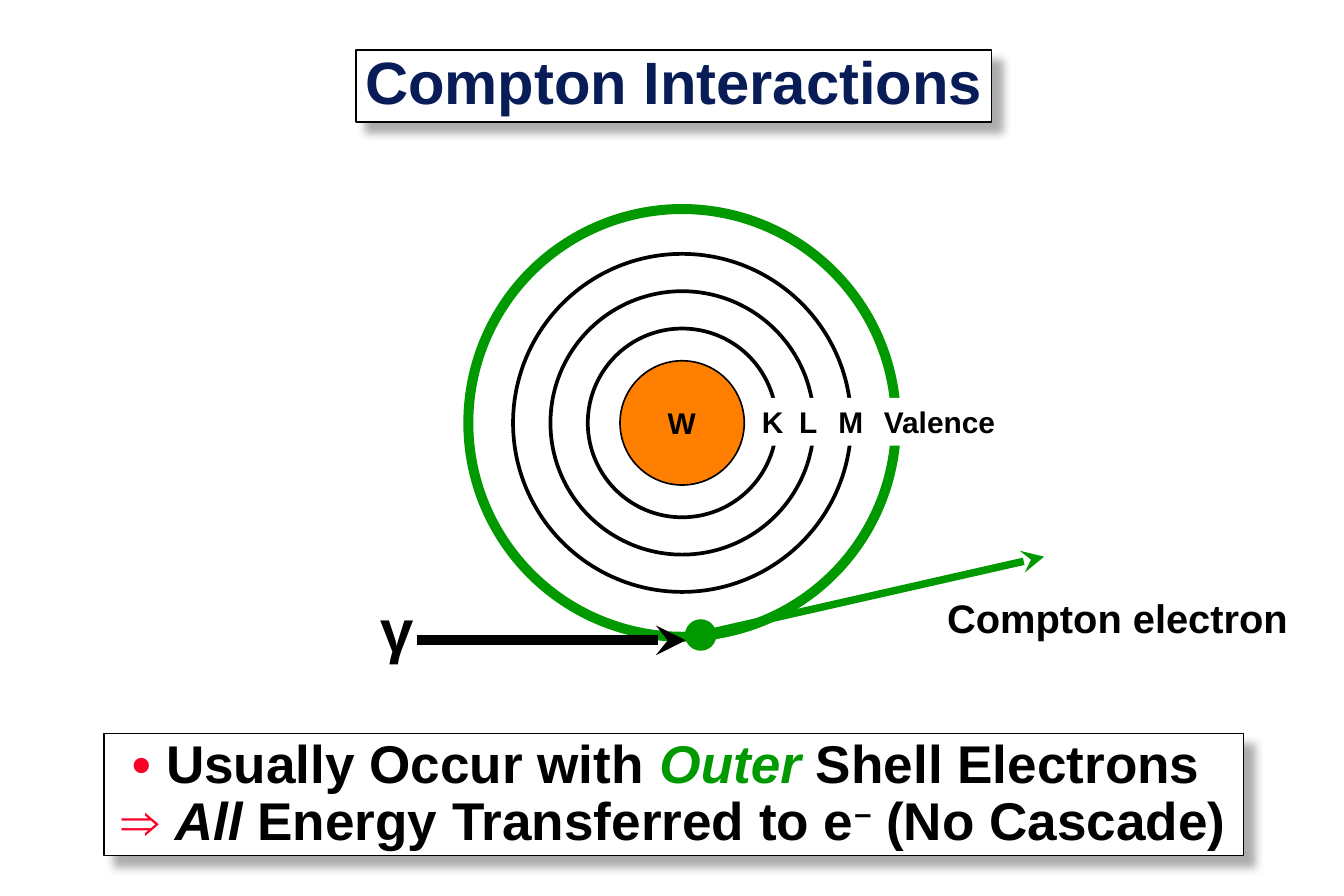
from lxml import etree
from pptx import Presentation
from pptx.dml.color import RGBColor
from pptx.enum.shapes import MSO_CONNECTOR, MSO_SHAPE
from pptx.enum.text import MSO_ANCHOR, MSO_AUTO_SIZE, PP_ALIGN
from pptx.oxml.ns import qn
from pptx.util import Inches, Pt

# The slide is a grid of 90 columns by 60 rows of square cells.
COLUMNS, ROWS = 90, 60
CELL = 0.125

BLACK = RGBColor(0x00, 0x00, 0x00)
WHITE = RGBColor(0xFF, 0xFF, 0xFF)
NAVY = RGBColor(0x08, 0x1D, 0x58)
RED = RGBColor(0xFC, 0x01, 0x28)
GREEN = RGBColor(0x00, 0x99, 0x00)
ORANGE = RGBColor(0xFF, 0x80, 0x00)
SHADOW_GREY = RGBColor(0x91, 0x91, 0x91)

ATOM_CENTRE = (45.68, 28.32)
LABEL_TOP, LABEL_HEIGHT = 26.64, 3.2


def cells(*counts):
    return [Inches(count * CELL) for count in counts]


def add_plain_shape(slide, preset, box, fill=None, line=None, width=1):
    shape = slide.shapes.add_shape(preset, *cells(*box))
    shape.shadow.inherit = False
    if fill is None:
        shape.fill.background()
    else:
        shape.fill.solid()
        shape.fill.fore_color.rgb = fill
    if line is None:
        shape.line.fill.background()
    else:
        shape.line.color.rgb = line
        shape.line.width = Pt(width)
    return shape


def add_circle(slide, centre, diameter, fill, line, width):
    x, y = centre
    box = (x - diameter / 2, y - diameter / 2, diameter, diameter)
    add_plain_shape(slide, MSO_SHAPE.OVAL, box, fill, line, width)


def fit_frame(shape):
    frame = shape.text_frame
    frame.word_wrap = False
    frame.auto_size = MSO_AUTO_SIZE.SHAPE_TO_FIT_TEXT
    frame.vertical_anchor = MSO_ANCHOR.TOP
    return frame


def format_run(run, size, color, italic=False):
    font = run.font
    font.name, font.size, font.bold, font.italic = "Arial", Pt(size), True, italic
    font.color.rgb = color


def write_label(shape, text, size):
    frame = fit_frame(shape)
    frame.text = text
    paragraph = frame.paragraphs[0]
    paragraph.alignment = PP_ALIGN.LEFT
    format_run(paragraph.runs[0], size, BLACK)


def add_label(slide, box, text, size):
    write_label(slide.shapes.add_textbox(*cells(*box)), text, size)


def add_drop_shadow(shape):
    effects = shape._element.spPr.find(qn("a:effectLst"))
    shadow = etree.SubElement(
        effects, qn("a:outerShdw"), blurRad=str(Pt(5)), dist=str(Pt(8.5)),
        dir="2700000", algn="ctr", rotWithShape="0")
    color = etree.SubElement(shadow, qn("a:srgbClr"), val=str(SHADOW_GREY))
    etree.SubElement(color, qn("a:alpha"), val="75000")


def add_panel(slide, box, lines, size, spacing, hanging=0):
    """Add a framed, shadowed box; each line lists (text, color, italic, baseline)."""
    panel = add_plain_shape(slide, MSO_SHAPE.RECTANGLE, box, WHITE, BLACK)
    add_drop_shadow(panel)
    frame = fit_frame(panel)
    frame.margin_left = frame.margin_right = Inches(0.07)
    frame.margin_top = frame.margin_bottom = Inches(0.03)
    for index, pieces in enumerate(lines):
        paragraph = frame.add_paragraph() if index else frame.paragraphs[0]
        paragraph.alignment = PP_ALIGN.CENTER
        paragraph.line_spacing = spacing
        if hanging:
            properties = paragraph._p.get_or_add_pPr()
            properties.set("marL", str(Inches(hanging)))
            properties.set("indent", str(-Inches(hanging)))
        for text, color, italic, baseline in pieces:
            run = paragraph.add_run()
            run.text = text
            format_run(run, size, color, italic)
            if baseline:
                run._r.get_or_add_rPr().set("baseline", str(baseline * 1000))


def add_arrow(slide, start, end, color, width):
    arrow = slide.shapes.add_connector(
        MSO_CONNECTOR.STRAIGHT, *cells(*start, *end))
    arrow.line.color.rgb = color
    arrow.line.width = Pt(width)
    etree.SubElement(arrow.line._get_or_add_ln(), qn("a:tailEnd"), type="stealth")
    etree.SubElement(arrow._element.spPr, qn("a:effectLst"))


def add_atom(slide):
    add_circle(slide, ATOM_CENTRE, 8.32, ORANGE, BLACK, 1)
    for shell in range(3):
        add_circle(slide, ATOM_CENTRE, 12.64 + 5 * shell, None, BLACK, 2.25)
    add_circle(slide, ATOM_CENTRE, 28.64, None, GREEN, 6)

    shell_labels = [("K", 50.24, 3.04), ("L", 52.72, 2.8),
                    ("M", 55.36, 3.28), ("Valence", 58.4, 9.2)]
    for name, left, width in shell_labels:
        box = (left, LABEL_TOP, width, LABEL_HEIGHT)
        label = add_plain_shape(slide, MSO_SHAPE.RECTANGLE, box, WHITE)
        write_label(label, name, 18)
    add_label(slide, (43.92, 26.72, 3.52, LABEL_HEIGHT), "W", 18)


def add_scattering(slide):
    add_circle(slide, (46.92, 42.52), 2, GREEN, GREEN, 1)
    add_arrow(slide, (27.92, 42.88), (45.92, 42.88), BLACK, 6)
    add_label(slide, (24.72, 39.28, 3.28, 5.6), "γ", 36)
    add_arrow(slide, (46.64, 42.56), (69.92, 37.28), GREEN, 4.5)
    add_label(slide, (62.64, 39.36, 24.4, 4), "Compton electron", 24)


def main():
    presentation = Presentation()
    presentation.slide_width, presentation.slide_height = cells(COLUMNS, ROWS)
    slide = presentation.slides.add_slide(presentation.slide_layouts[6])

    title = [[("Compton Interactions", NAVY, False, 0)]]
    add_panel(slide, (23.84, 3.36, 42.56, 4.8), title, 36, 0.88)

    summary = [
        [("•", RED, False, 0), (" Usually Occur with ", BLACK, False, 0),
         ("Outer", GREEN, True, 0), (" Shell Electrons ", BLACK, False, 0)],
        [("⇒ ", RED, False, 0), ("All ", BLACK, True, 0),
         ("Energy Transferred to e", BLACK, False, 0),
         ("–", BLACK, False, 30), (" (No Cascade)", BLACK, False, 0)],
    ]
    add_panel(slide, (6.96, 49.12, 76.32, 8.16), summary, 32, 0.9, hanging=0.25)

    add_atom(slide)
    add_scattering(slide)
    presentation.save("out.pptx")


if __name__ == "__main__":
    main()
